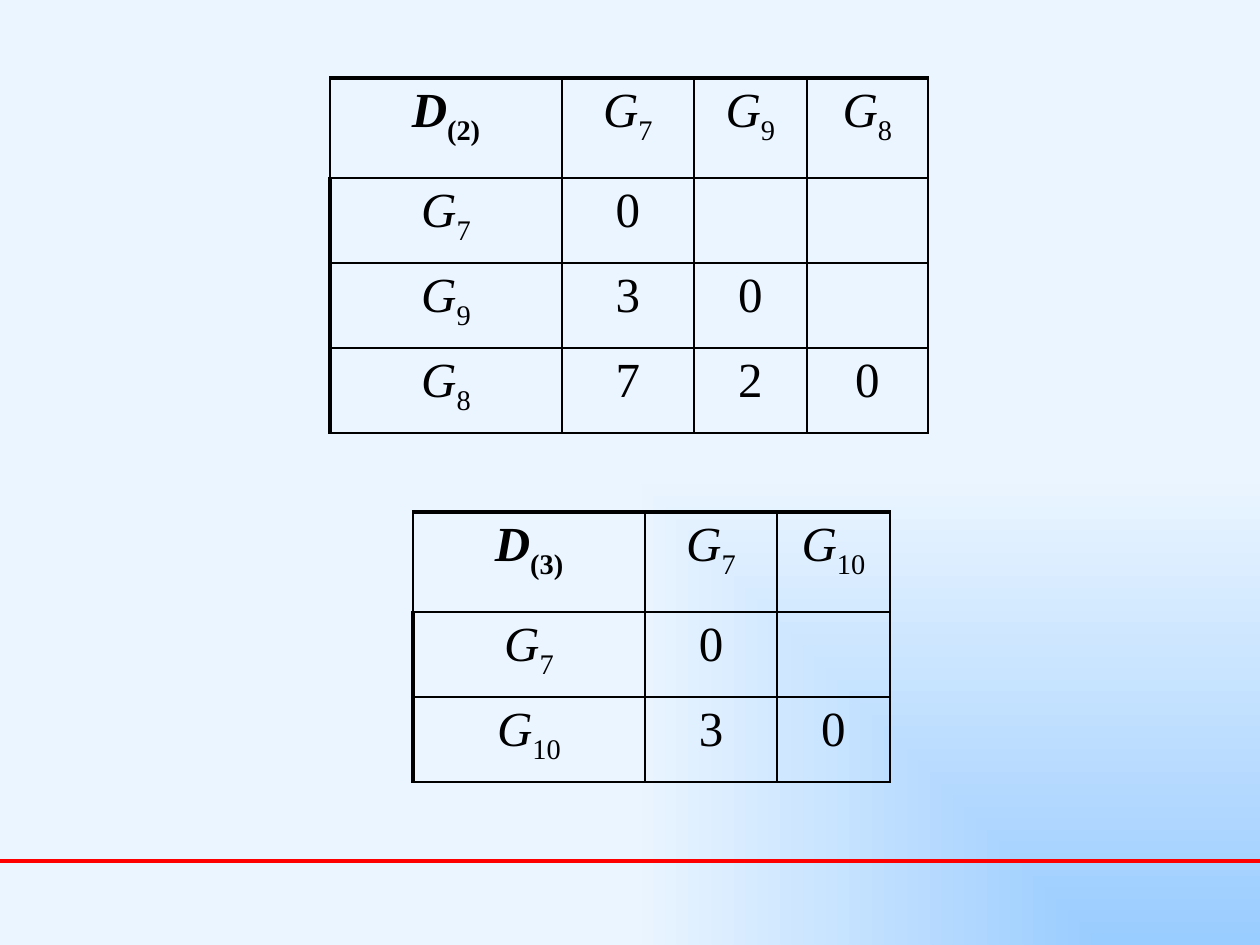
from lxml import etree
from pptx import Presentation
from pptx.dml.color import RGBColor
from pptx.enum.shapes import MSO_CONNECTOR
from pptx.enum.text import PP_ALIGN
from pptx.oxml import parse_xml
from pptx.oxml.ns import nsdecls, qn
from pptx.util import Emu, Pt

STRAIGHT = MSO_CONNECTOR.STRAIGHT
CENTER = PP_ALIGN.CENTER

# Content: distance matrices as step, clusters and lower triangle
MATRICES = [
    {"step": "(2)", "clusters": ["7", "9", "8"], "left": 330, "top": 78,
     "distances": [["0"], ["3", "0"], ["7", "2", "0"]]},
    {"step": "(3)", "clusters": ["7", "10"], "left": 413, "top": 512,
     "distances": [["0"], ["3", "0"]]},
]

# Layout in px, 126 px to the inch
SLIDE_W, SLIDE_H = 1260, 945
COLUMN_WIDTHS = [232, 132, 113, 121]
HEADER_HEIGHT, ROW_HEIGHT = 100, 85
RULE_Y = 861

THEME = {
    "font": "Times New Roman", "size": 28, "ink": "000000",
    "rule": "FF0000", "rule_width": 1.75,
    "glow": "99CCFF", "paper": "EBF5FF",
    "thin": 1, "thick": 2.25, "subscript": -25000,
}


def px(length):
    return Emu(round(length * 914400 / 126))


def rgb(name):
    return RGBColor.from_string(THEME[name])


def paint_background(slide):
    fill = slide.background.fill
    fill.gradient()
    for stop, name in zip(fill.gradient_stops, ("glow", "paper")):
        stop.color.rgb = rgb(name)
    gradient = slide._element.find(".//" + qn("a:gradFill"))
    gradient.replace(gradient.find(qn("a:lin")), parse_xml(
        f'<a:path {nsdecls("a")} path="rect">'
        '<a:fillToRect l="100000" t="100000"/></a:path>'))


def add_rule(slide):
    rule = slide.shapes.add_connector(
        STRAIGHT, px(0), px(RULE_Y), px(SLIDE_W), px(RULE_Y))
    rule.line.color.rgb = rgb("rule")
    rule.line.width = Pt(THEME["rule_width"])
    etree.SubElement(rule._element.spPr, qn("a:effectLst"))


def set_borders(cell, thick_side):
    properties = cell._tc.get_or_add_tcPr()
    for side in "LRTB":
        width = Pt(THEME["thick" if side == thick_side else "thin"])
        properties.append(parse_xml(
            f'<a:ln{side} {nsdecls("a")} w="{width}"><a:solidFill>'
            f'<a:srgbClr val="{THEME["ink"]}"/></a:solidFill></a:ln{side}>'))


def write_symbol(cell, base, subscript="", bold=False):
    paragraph = cell.text_frame.paragraphs[0]
    paragraph.alignment = CENTER
    for text, lowered in ((base, False), (subscript, True)):
        if not text:
            continue
        run = paragraph.add_run()
        run.text = text
        font = run.font
        font.name, font.size = THEME["font"], Pt(THEME["size"])
        font.color.rgb = rgb("ink")
        font.bold = bold
        font.italic = bool(subscript) and not lowered
        if lowered:
            font._element.set("baseline", str(THEME["subscript"]))


def add_matrix(slide, matrix):
    clusters = matrix["clusters"]
    count = len(clusters) + 1
    widths = COLUMN_WIDTHS[:count]
    heights = [HEADER_HEIGHT] + [ROW_HEIGHT] * len(clusters)
    table = slide.shapes.add_table(
        count, count, px(matrix["left"]), px(matrix["top"]),
        px(sum(widths)), px(sum(heights))).table
    table.first_row = table.horz_banding = False
    for column, width in zip(table.columns, widths):
        column.width = px(width)
    for row, height in zip(table.rows, heights):
        row.height = px(height)

    # Header row has a thick top, label column a thick left side
    for r in range(count):
        for c in range(count):
            cell = table.cell(r, c)
            set_borders(cell, "T" if r == 0 else "L" if c == 0 else None)
            cell.fill.background()

    # Labels, then the lower triangle
    write_symbol(table.cell(0, 0), "D", matrix["step"], bold=True)
    for i, cluster in enumerate(clusters, start=1):
        write_symbol(table.cell(0, i), "G", cluster)
        write_symbol(table.cell(i, 0), "G", cluster)
    for r, distances in enumerate(matrix["distances"], start=1):
        for c, distance in enumerate(distances, start=1):
            write_symbol(table.cell(r, c), distance)


def main():
    deck = Presentation()
    deck.slide_width, deck.slide_height = px(SLIDE_W), px(SLIDE_H)
    slide = deck.slides.add_slide(deck.slide_layouts[6])
    paint_background(slide)
    add_rule(slide)
    for matrix in MATRICES:
        add_matrix(slide, matrix)
    deck.save("out.pptx")


if __name__ == "__main__":
    main()
